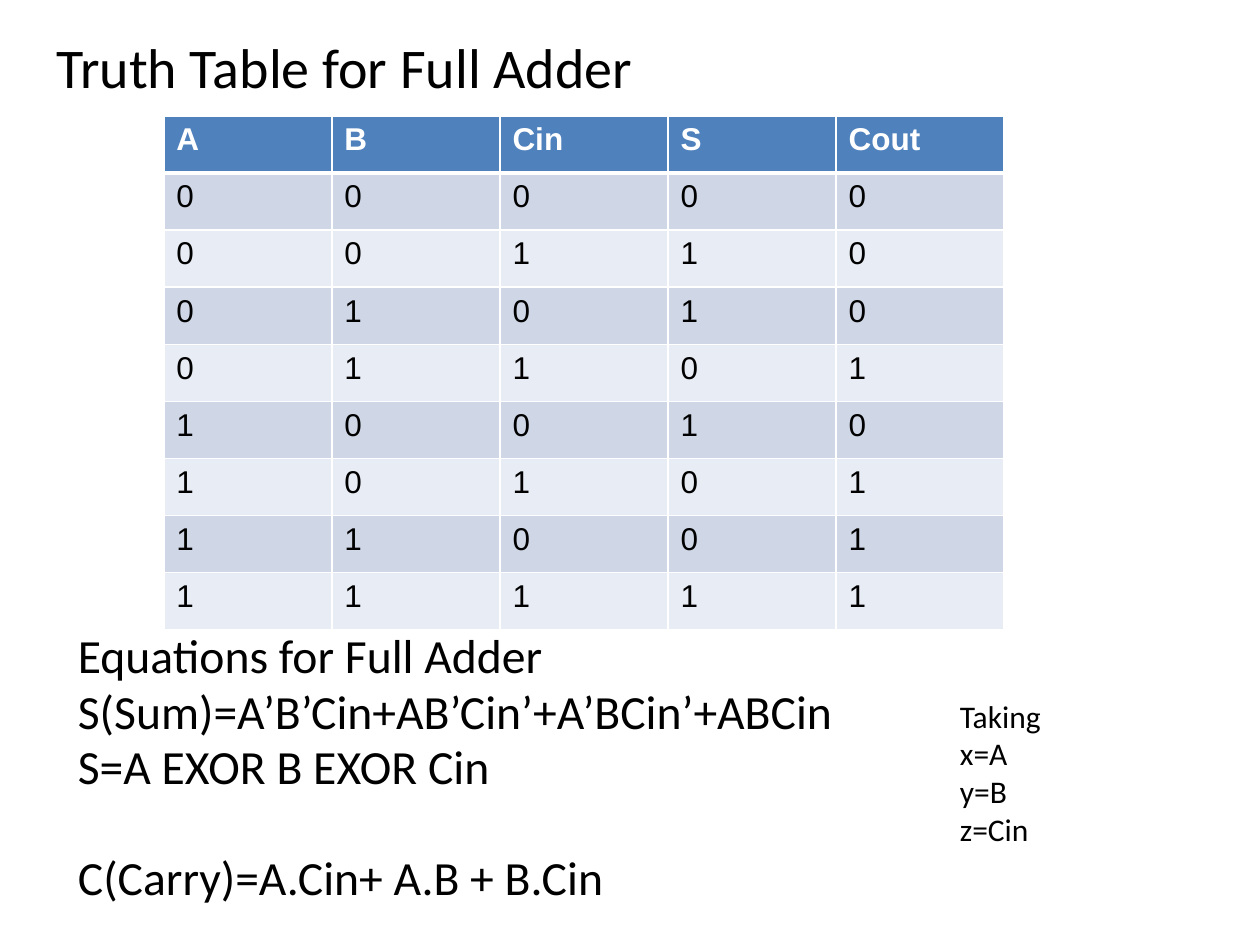
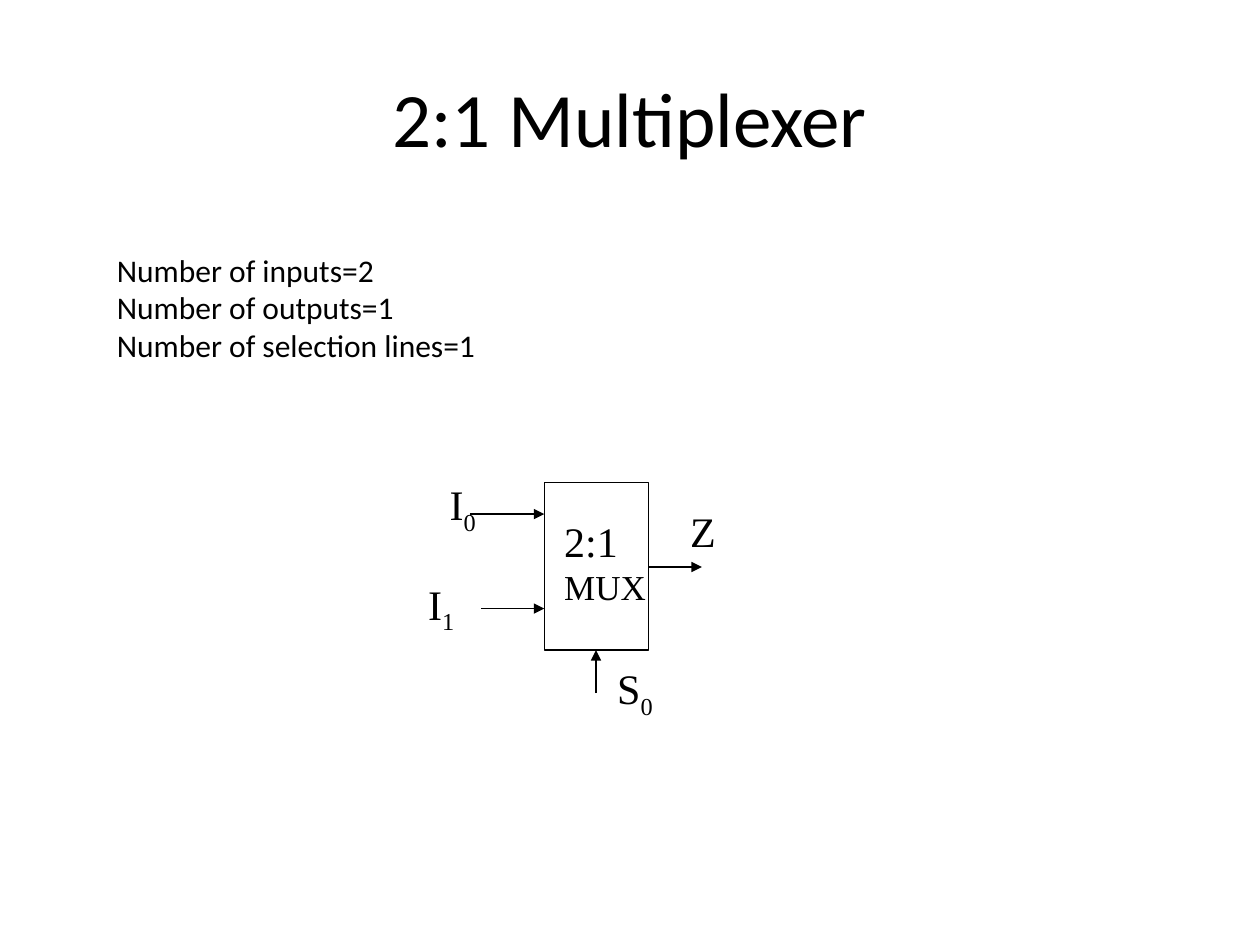
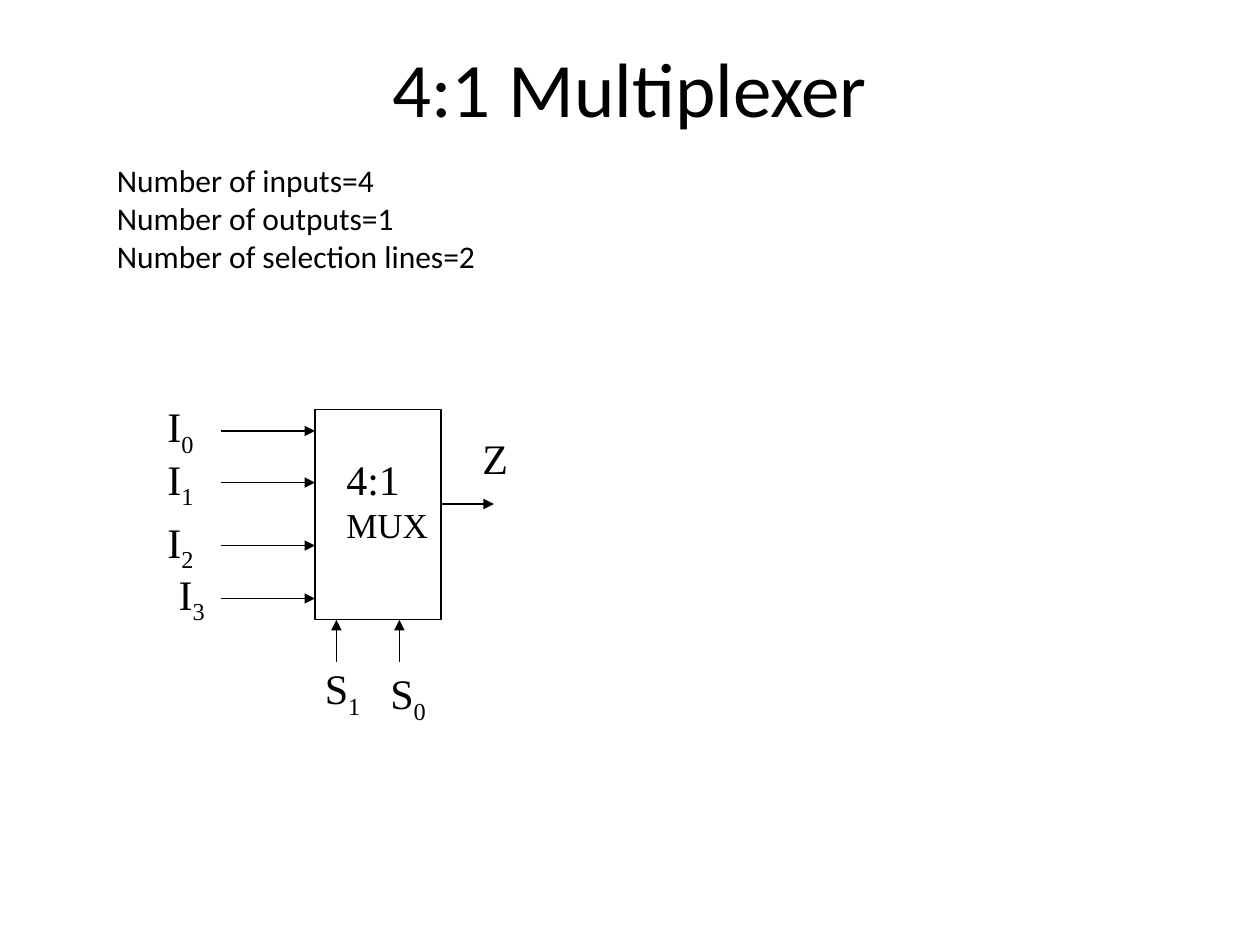
"""Build three slides on the full adder truth table and on 2:1 and 4:1 multiplexers."""
from dataclasses import dataclass

from lxml.etree import SubElement
from pptx import Presentation
from pptx.dml.color import RGBColor
from pptx.enum.shapes import MSO_CONNECTOR, MSO_SHAPE
from pptx.enum.text import MSO_ANCHOR, PP_ALIGN
from pptx.oxml.ns import qn
from pptx.util import Pt

PX = 9144


@dataclass(frozen=True)
class Theme:
    ink: RGBColor = RGBColor(0, 0, 0)
    paper: RGBColor = RGBColor(255, 255, 255)
    header: RGBColor = RGBColor.from_string("4F81BD")
    odd_row: RGBColor = RGBColor.from_string("CFD7E7")
    even_row: RGBColor = RGBColor.from_string("E8ECF4")
    text_font: str = "Calibri"
    table_font: str = "Arial"
    diagram_font: str = "Times New Roman"
    title: float = 44
    heading: float = 32
    equation: float = 27.2
    pin: float = 24
    block: float = 20
    note: float = 18
    line: float = 0.75
    border: float = 1
    header_border: float = 3


theme = Theme()


def add_text(page, place, lines, size, font=theme.text_font):
    """Add a wrapped text box with one paragraph per line and return its frame."""
    frame = page.shapes.add_textbox(*(n * PX for n in place)).text_frame
    frame.word_wrap = True
    frame.text = "\n".join(lines)
    for para in frame.paragraphs:
        para.font.name = font
        para.font.size = Pt(size)
        para.font.color.rgb = theme.ink
    return frame


def add_pin(page, left, top, name):
    """Label a pin with a letter and an optional subscript digit."""
    frame = add_text(page, (left, top, 50, 50), [name[0]], theme.pin, theme.diagram_font)
    if name[1:]:
        span = frame.paragraphs[0].add_run()
        span.text = name[1:]
        span._r.get_or_add_rPr().set("baseline", "-25000")


deck = Presentation()
deck.slide_width = 1000 * PX
deck.slide_height = 750 * PX
blank = deck.slide_layouts[6]

page = deck.slides.add_slide(blank)
add_text(page, (35, 21, 900, 71), ["Truth Table for Full Adder"], theme.heading)

truth_rows = [["A", "B", "Cin", "S", "Cout"]]
for number in range(8):
    a, b, carry_in = number >> 2, number >> 1 & 1, number & 1
    total = a + b + carry_in
    truth_rows.append([a, b, carry_in, total % 2, total // 2])

table = page.shapes.add_table(9, 5, 130 * PX, 92 * PX, 667 * PX, 408 * PX).table
for row, values in enumerate(truth_rows):
    for column, value in enumerate(values):
        cell = table.cell(row, column)
        properties = cell._tc.get_or_add_tcPr()
        for side in ("lnL", "lnR", "lnT", "lnB"):
            below_header = (row, side) in ((0, "lnB"), (1, "lnT"))
            width = theme.header_border if below_header else theme.border
            border = SubElement(properties, qn(f"a:{side}"), w=str(Pt(width)))
            fill = SubElement(border, qn("a:solidFill"))
            SubElement(fill, qn("a:srgbClr"), val=str(theme.paper))
        cell.fill.solid()
        cell.fill.fore_color.rgb = (
            theme.header if row == 0 else theme.odd_row if row % 2 else theme.even_row
        )
        cell.text = str(value)
        font = cell.text_frame.paragraphs[0].font
        font.name = theme.table_font
        font.size = Pt(theme.note)
        font.bold = row == 0
        font.color.rgb = theme.ink if row else theme.paper

equations = add_text(
    page,
    (52, 501, 900, 236),
    [
        "Equations for Full Adder",
        "S(Sum)=A’B’Cin+AB’Cin’+A’BCin’+ABCin",
        "S=A EXOR B EXOR Cin",
        "C(Carry)=A.Cin+ A.B + B.Cin",
    ],
    theme.equation,
)
for para, gap in zip(equations.paragraphs, (0, 5.4, 5.4, 37.4)):
    para.line_spacing = 0.8
    para.space_before = Pt(gap)
add_text(page, (752, 548, 110, 131), ["Taking", "x=A", "y=B", "z=Cin"], theme.note)

multiplexers = [
    {
        "inputs": 2,
        "selections": 1,
        "title_top": 30,
        "facts_top": 194,
        "body": (432, 383, 83, 133),
        "name_at": (438, 404),
        "arrows": [
            (373, 408, 432, 408),
            (382, 483, 432, 483),
            (473, 550, 473, 516),
            (515, 450, 557, 450),
        ],
        "pins": [(347, 375, "I0"), (330, 454, "I1"), (538, 396, "Z"), (480, 521, "S0")],
    },
    {
        "inputs": 4,
        "selections": 2,
        "title_top": 6,
        "facts_top": 123,
        "body": (250, 325, 100, 167),
        "name_at": (265, 355),
        "arrows": [(175, y, 250, y) for y in (342, 383, 433, 475)]
        + [(x, 525, x, 492) for x in (267, 317)]
        + [(350, 400, 392, 400)],
        "pins": [
            (123, 313, "I0"),
            (123, 355, "I1"),
            (123, 405, "I2"),
            (132, 446, "I3"),
            (373, 338, "Z"),
            (248, 521, "S1"),
            (300, 525, "S0"),
        ],
    },
]

for mux in multiplexers:
    page = deck.slides.add_slide(blank)
    ratio = f"{mux['inputs']}:1"
    title = add_text(page, (50, mux["title_top"], 900, 125), [f"{ratio} Multiplexer"], theme.title)
    title.vertical_anchor = MSO_ANCHOR.MIDDLE
    title.paragraphs[0].alignment = PP_ALIGN.CENTER
    facts = [
        f"Number of inputs={mux['inputs']}",
        "Number of outputs=1",
        f"Number of selection lines={mux['selections']}",
    ]
    add_text(page, (83, mux["facts_top"], 803, 101), facts, theme.note)

    body = page.shapes.add_shape(MSO_SHAPE.RECTANGLE, *(n * PX for n in mux["body"]))
    body.shadow.inherit = False
    body.fill.background()
    body.line.color.rgb = theme.ink
    body.line.width = Pt(theme.line)
    name = add_text(page, (*mux["name_at"], 86, 83), [ratio, "MUX"], theme.pin, theme.diagram_font)
    name.paragraphs[1].font.size = Pt(theme.block)

    for ends in mux["arrows"]:
        arrow = page.shapes.add_connector(MSO_CONNECTOR.STRAIGHT, *(n * PX for n in ends))
        arrow.line.color.rgb = theme.ink
        arrow.line.width = Pt(theme.line)
        SubElement(arrow.line._get_or_add_ln(), qn("a:tailEnd"), type="triangle")
        SubElement(arrow._element.spPr, qn("a:effectLst"))
    for left, top, pin in mux["pins"]:
        add_pin(page, left, top, pin)

deck.save("out.pptx")
